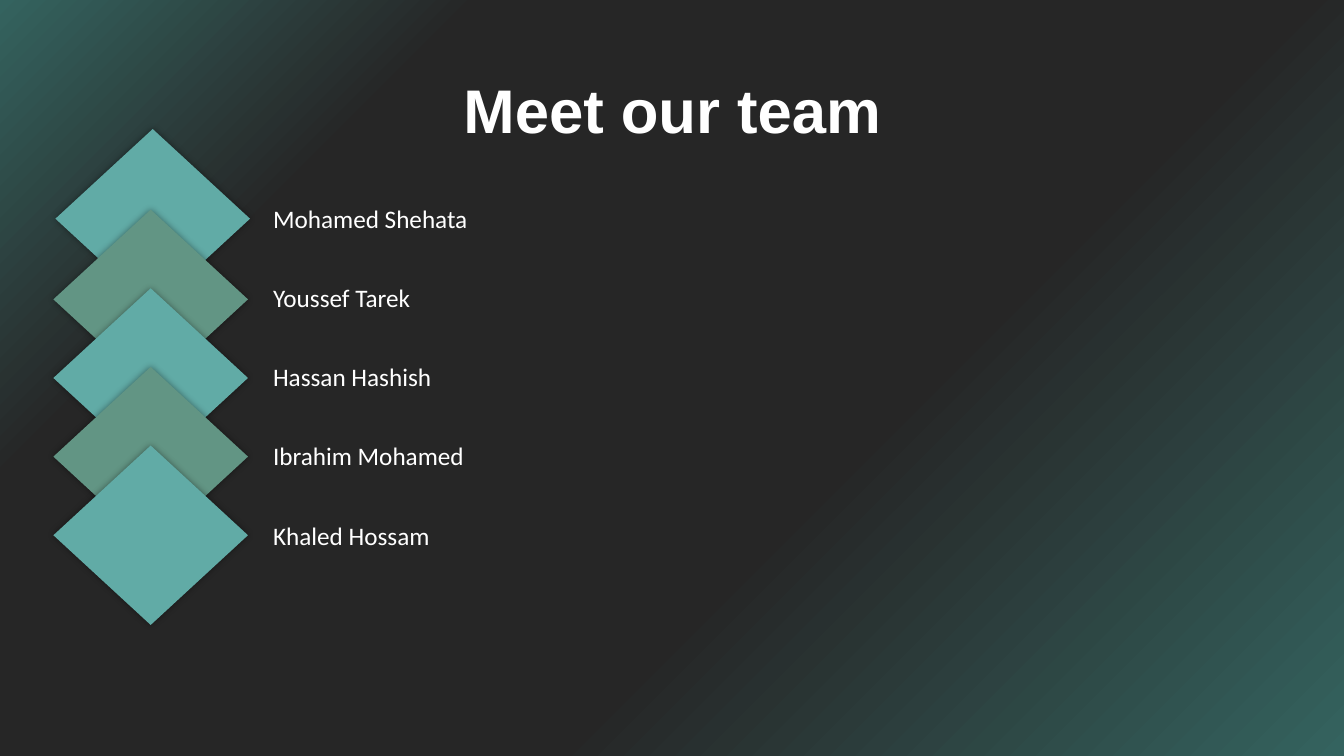
from lxml.etree import SubElement
from pptx import Presentation
from pptx.dml.color import RGBColor
from pptx.enum.shapes import MSO_SHAPE
from pptx.enum.text import MSO_ANCHOR, MSO_AUTO_SIZE, PP_ALIGN
from pptx.oxml import parse_xml
from pptx.oxml.ns import nsdecls, qn
from pptx.util import Emu, Pt

EMU_PER_PX = 9144
TEAL, SAGE, WHITE = "61ABA6", "629584", "FFFFFF"
BACKDROP = [(0, "34635F"), (23, "262626"), (62, "262626"), (100, "34635F")]
TEAM = ["Mohamed Shehata", "Youssef Tarek", "Hassan Hashish",
        "Ibrahim Mohamed", "Khaled Hossam"]


def px(*lengths):
    return [Emu(length * EMU_PER_PX) for length in lengths]


def color(hex_string):
    return RGBColor.from_string(hex_string)


class TeamSlide:
    """Draws styled elements on one title-only slide."""

    def __init__(self, deck):
        self.slide = deck.slides.add_slide(deck.slide_layouts[5])

    def style(self, paragraph, size, face, bold=False):
        font = paragraph.font
        font.size, font.name, font.bold = Pt(size), face, bold
        font.color.rgb = color(WHITE)

    def background(self, stops, angle):
        marks = "".join(
            f'<a:gs pos="{percent * 1000}"><a:srgbClr val="{shade}"/></a:gs>'
            for percent, shade in stops)
        self.slide.background.fill.solid()
        properties = self.slide.element.cSld.find(f"{qn('p:bg')}/{qn('p:bgPr')}")
        properties.replace(properties[0], parse_xml(
            f'<a:gradFill {nsdecls("a")} rotWithShape="1"><a:gsLst>{marks}</a:gsLst>'
            f'<a:lin ang="{angle * 60000}" scaled="0"/></a:gradFill>'))

    def title(self, wording, *box):
        heading = self.slide.shapes.title
        heading.left, heading.top, heading.width, heading.height = px(*box)
        frame = heading.text_frame
        frame.text = wording
        frame.vertical_anchor = MSO_ANCHOR.MIDDLE
        line = frame.paragraphs[0]
        line.alignment, line.line_spacing = PP_ALIGN.CENTER, 0.9
        self.style(line, 44, "Arial", bold=True)

    def diamond(self, shade, *box):
        tile = self.slide.shapes.add_shape(MSO_SHAPE.DIAMOND, *px(*box))
        tile.fill.solid()
        tile.fill.fore_color.rgb = color(shade)
        tile.line.fill.background()
        tile.shadow.inherit = False
        effects = tile.element.spPr.find(qn("a:effectLst"))
        glow = SubElement(effects, qn("a:outerShdw"), blurRad=str(Pt(5)),
                          dist="0", dir="0", algn="ctr", rotWithShape="0")
        black = SubElement(glow, qn("a:srgbClr"), val="000000")
        SubElement(black, qn("a:alpha"), val="40000")

    def label(self, wording, *box):
        frame = self.slide.shapes.add_textbox(*px(*box)).text_frame
        frame.word_wrap = True
        frame.auto_size = MSO_AUTO_SIZE.SHAPE_TO_FIT_TEXT
        frame.text = wording
        self.style(frame.paragraphs[0], 18, "Calibri")


def main():
    deck = Presentation()
    deck.slide_width, deck.slide_height = px(1333, 750)
    team_slide = TeamSlide(deck)
    team_slide.background(BACKDROP, 45)
    team_slide.title("Meet our team", 92, 40, 1150, 145)
    corners = [(55, 128)] + [(53, 208 + 78 * row) for row in range(len(TEAM) - 1)]
    for row, (left, top) in enumerate(corners):
        team_slide.diamond((TEAL, SAGE)[row % 2], left, top, 193, 178)
    for row, member in enumerate(TEAM):
        team_slide.label(member, 261, 197 + 157 * row // 2, 353, 40)
    deck.save("out.pptx")


if __name__ == "__main__":
    main()
